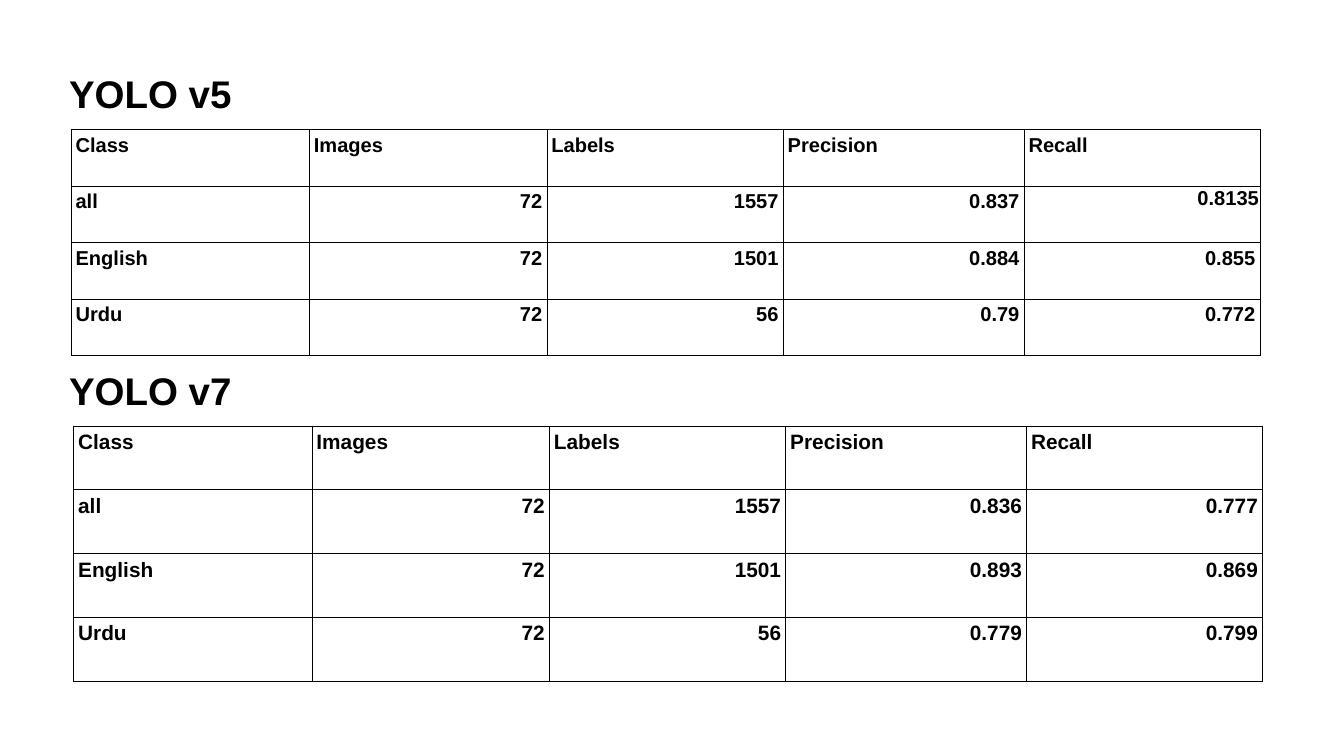
from dataclasses import dataclass

from lxml import etree
from pptx import Presentation
from pptx import util as u
from pptx.dml.color import RGBColor
from pptx.enum import text
from pptx.oxml import ns


@dataclass(frozen=True)
class Theme:
    font: str = "Arial"
    ink: RGBColor = RGBColor(0, 0, 0)
    paper: RGBColor = RGBColor(255, 255, 255)
    head: float = 55
    rule: float = 1


THEME = Theme()
COLS = (12.01, 11.97, 11.91, 12.14, 11.89)
NAMES = ("Class", "Images", "Labels", "Precision", "Recall")
V5 = (
    NAMES,
    ("all", "72", "1557", "0.837", "0.8135"),
    ("English", "72", "1501", "0.884", "0.855"),
    ("Urdu", "72", "56", "0.79", "0.772"),
)
V7 = (
    NAMES,
    ("all", "72", "1557", "0.836", "0.777"),
    ("English", "72", "1501", "0.893", "0.869"),
    ("Urdu", "72", "56", "0.779", "0.799"),
)


def style(para, size, align):
    para.alignment = align
    for run in para.runs:
        font = run.font
        font.name, font.size, font.bold = THEME.font, u.Pt(size), True
        font.color.rgb = THEME.ink


def inset(item, side, top, base):
    item.margin_left = item.margin_right = u.Cm(side)
    item.margin_top, item.margin_bottom = u.Cm(top), u.Cm(base)


def border(cell):
    props = cell._tc.get_or_add_tcPr()
    for i, edge in enumerate(("lnL", "lnR", "lnT", "lnB")):
        line = etree.Element(ns.qn(f"a:{edge}"), w=str(u.Pt(THEME.rule)))
        fill = etree.SubElement(line, ns.qn("a:solidFill"))
        etree.SubElement(fill, ns.qn("a:srgbClr"), val=str(THEME.ink))
        props.insert(i, line)


def heading(shape, words, box):
    shape.left, shape.top, shape.width, shape.height = map(u.Cm, box)
    frame = shape.text_frame
    frame.text = words
    frame.word_wrap = True
    frame.auto_size = text.MSO_AUTO_SIZE.NONE
    frame.vertical_anchor = text.MSO_ANCHOR.TOP
    inset(frame, 0.13, 0.13, 0.13)
    style(frame.paragraphs[0], THEME.head, text.PP_ALIGN.LEFT)


def scores(slide, rows, box, size):
    grid = slide.shapes.add_table(len(rows), len(COLS), *map(u.Cm, box)).table
    grid.horz_banding = False
    for col, width in zip(grid.columns, COLS):
        col.width = u.Cm(width)
    for r, row in enumerate(rows):
        grid.rows[r].height = u.Cm(box[3] / len(rows))
        for c, value in enumerate(row):
            cell = grid.cell(r, c)
            cell.text = value
            cell.fill.solid()
            cell.fill.fore_color.rgb = THEME.paper
            inset(cell, 0.23, 0.23, 0.23)
            border(cell)
            align = text.PP_ALIGN.RIGHT if r and c else text.PP_ALIGN.LEFT
            style(cell.text_frame.paragraphs[0], size, align)
    return grid


def main():
    deck = Presentation()
    deck.slide_width, deck.slide_height = u.Cm(67.74), u.Cm(38.1)
    slide = deck.slides.add_slide(deck.slide_layouts[5])

    heading(slide.shapes.title, "YOLO v5", (3.35, 3.4, 61.04, 2.6))
    label = slide.shapes.add_textbox(0, 0, 0, 0)
    heading(label, "YOLO v7", (3.35, 18.36, 61.04, 2.6))

    first = scores(slide, V5, (3.58, 6.53, 59.92, 11.38), 28.7)
    inset(first.cell(1, 4), 0.05, 0.05, 0.23)
    scores(slide, V7, (3.71, 21.46, 59.92, 12.88), 29.7)

    deck.save("out.pptx")


if __name__ == "__main__":
    main()
